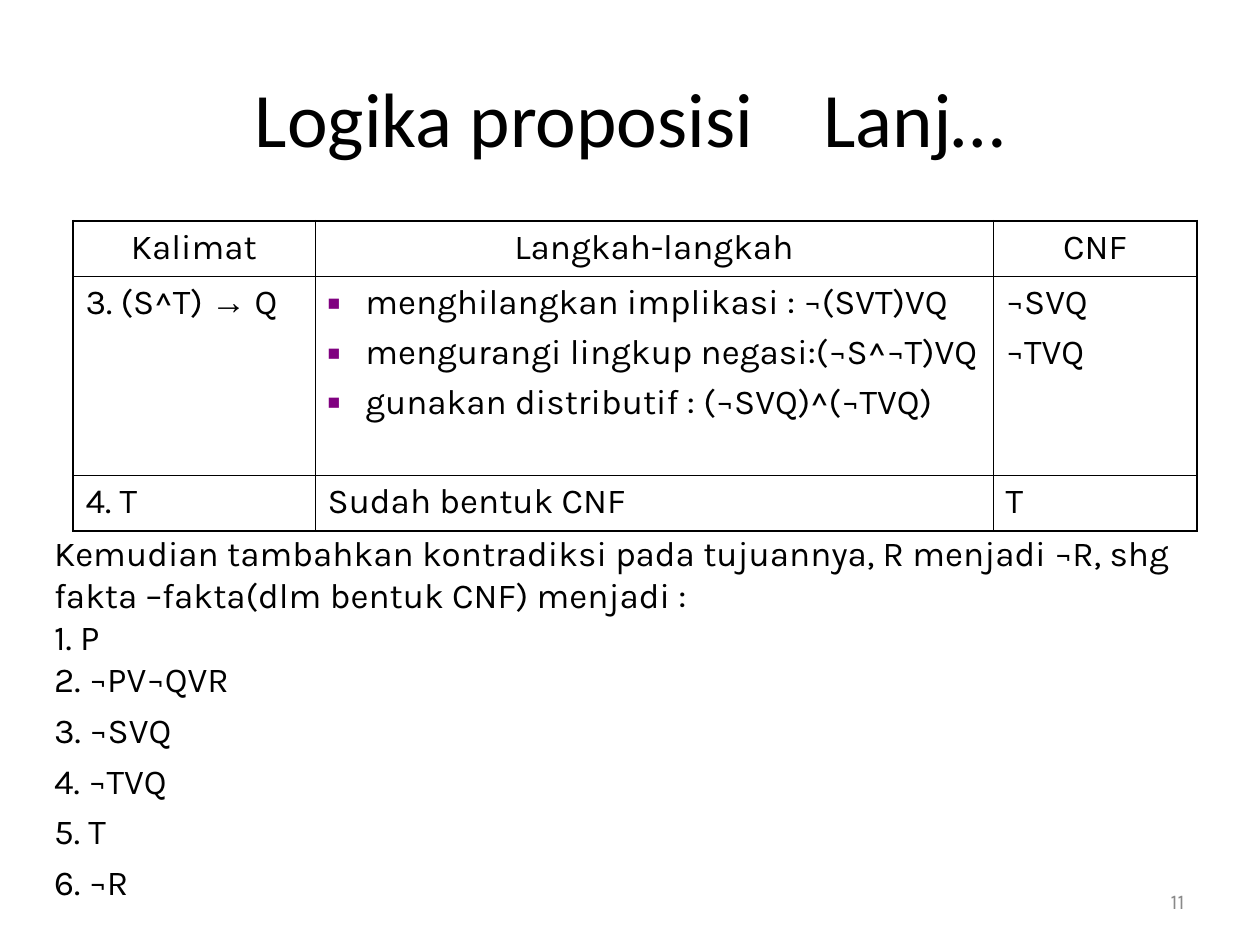
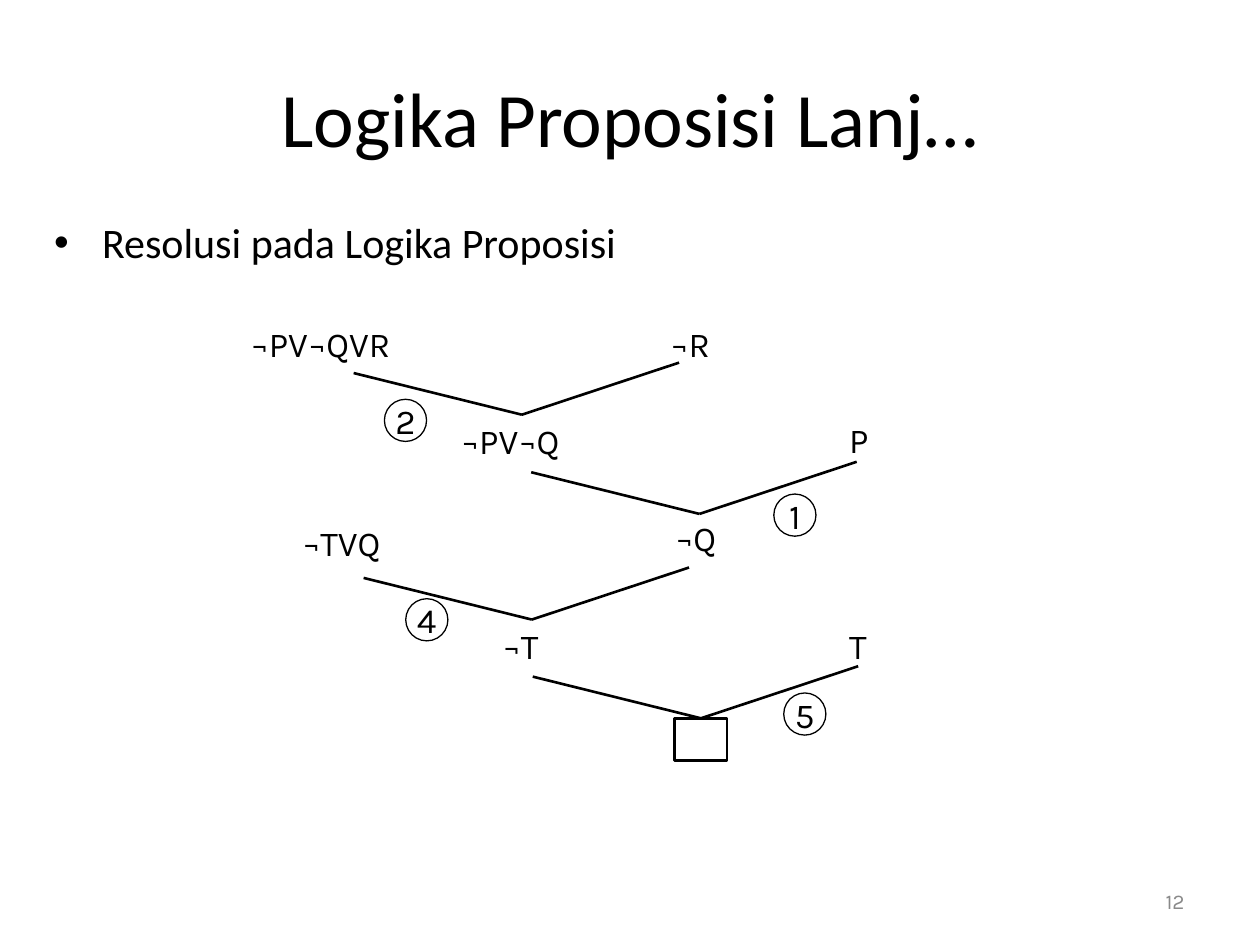
"""Builds two slides on resolution in propositional logic."""
from dataclasses import dataclass

from lxml.etree import SubElement
from pptx import Presentation
from pptx.dml.color import RGBColor
from pptx.enum.shapes import MSO_CONNECTOR, MSO_SHAPE
from pptx.enum.text import MSO_ANCHOR, PP_ALIGN
from pptx.oxml.ns import qn
from pptx.util import Cm, Pt


@dataclass(frozen=True)
class Theme:
    """Colours, fonts, type sizes and line widths of the slides."""

    ink: RGBColor = RGBColor(0x00, 0x00, 0x00)
    muted: RGBColor = RGBColor(0x89, 0x89, 0x89)
    accent: RGBColor = RGBColor(0x80, 0x00, 0x80)
    heading_font: str = "Calibri"
    body_font: str = "Karla"
    symbol_font: str = "Arial"
    title_size: int = 44
    bullet_size: int = 24
    body_size: int = 20
    number_size: int = 12
    title_gap: int = 30
    paragraph_gap: int = 5
    table_border: float = 1.08
    table_rule: float = 0.45
    branch_line: float = 1.5
    circle_line: float = 0.75


class Deck:
    """Holds the theme, the presentation and the slide being filled."""

    def __init__(self, theme):
        """Start an empty presentation of 4:3 slides."""
        self.theme = theme
        self.slide = None
        self.presentation = Presentation()
        self.presentation.slide_width = Cm(25.4)
        self.presentation.slide_height = Cm(19.05)

    def add_slide(self, title_parts, number):
        """Add a slide with its title and page number."""
        theme = self.theme
        self.slide = self.presentation.slides.add_slide(self.presentation.slide_layouts[6])
        title = self.text_box(1.27, 0.76, 22.86, 3.18, MSO_ANCHOR.MIDDLE).paragraphs[0]
        title.alignment = PP_ALIGN.CENTER
        style = {"size": theme.title_size, "font": theme.heading_font}
        for index, part in enumerate(title_parts):
            if index:
                gap = self.run(title, " ", **style)
                gap.font._element.set("spc", str(theme.title_gap * 100))
            self.run(title, part, **style)
        footer = self.text_box(18.21, 17.65, 5.92, 1.02, MSO_ANCHOR.MIDDLE).paragraphs[0]
        footer.alignment = PP_ALIGN.RIGHT
        self.run(footer, str(number), size=theme.number_size, color=theme.muted)

    def run(self, paragraph, text, size=None, font=None, color=None):
        """Add one styled run to a paragraph."""
        run = paragraph.add_run()
        run.text = text
        run.font.size = Pt(size or self.theme.body_size)
        run.font.name = font or self.theme.body_font
        run.font.color.rgb = color or self.theme.ink
        return run

    def bullet(self, paragraph, mark, indent, color, percent=100):
        """Give a paragraph a hanging bullet."""
        properties = paragraph._p.get_or_add_pPr()
        properties.set("marL", str(Cm(indent)))
        properties.set("indent", str(-Cm(indent)))
        bullet_color = SubElement(properties, qn("a:buClr"))
        SubElement(bullet_color, qn("a:srgbClr"), val=str(color))
        SubElement(properties, qn("a:buSzPct"), val=str(percent * 1000))
        SubElement(properties, qn("a:buFont"), typeface=self.theme.symbol_font)
        SubElement(properties, qn("a:buChar"), char=mark)

    def text_box(self, left, top, width, height, anchor=MSO_ANCHOR.TOP, wrap=True):
        """Add an empty text box and return its text frame."""
        box = self.slide.shapes.add_textbox(Cm(left), Cm(top), Cm(width), Cm(height))
        box.text_frame.word_wrap = wrap
        box.text_frame.vertical_anchor = anchor
        return box.text_frame

    def lines(self, frame, texts, spaced_from=1):
        """Write one paragraph per text, with gaps from a given paragraph on."""
        for index, text in enumerate(texts):
            paragraph = frame.add_paragraph() if index else frame.paragraphs[0]
            if index >= spaced_from:
                paragraph.space_before = Pt(self.theme.paragraph_gap)
            parts = [text] if isinstance(text, str) else text
            for part in parts:
                self.run(paragraph, part, font=self.theme.symbol_font if part == "→" else None)
        return frame.paragraphs

    def table(self, left, top, column_widths, row_heights, rows):
        """Add a ruled table; each cell is a list of paragraphs."""
        theme = self.theme
        frame = self.slide.shapes.add_table(
            len(rows), len(column_widths), Cm(left), Cm(top),
            Cm(sum(column_widths)), Cm(sum(row_heights)))
        table = frame.table
        table.first_row = table.horz_banding = False
        for column, width in zip(table.columns, column_widths):
            column.width = Cm(width)
        last_row, last_column = len(rows) - 1, len(column_widths) - 1
        for row_index, texts in enumerate(rows):
            table.rows[row_index].height = Cm(row_heights[row_index])
            for column_index, cell_texts in enumerate(texts):
                cell = table.cell(row_index, column_index)
                self.lines(cell.text_frame, cell_texts)
                outer_edges = {
                    "L": column_index == 0, "R": column_index == last_column,
                    "T": row_index == 0, "B": row_index == last_row}
                for side, outer in outer_edges.items():
                    self.border(cell, side, theme.table_border if outer else theme.table_rule)
                cell.fill.background()
        return table

    def border(self, cell, side, width):
        """Draw one border of a table cell."""
        line = SubElement(cell._tc.get_or_add_tcPr(), qn(f"a:ln{side}"), w=str(Pt(width)))
        fill = SubElement(line, qn("a:solidFill"))
        SubElement(fill, qn("a:srgbClr"), val=str(self.theme.ink))

    def outline(self, kind, left, top, width, height, line_width):
        """Add an unfilled shape with a dark outline."""
        shape = self.slide.shapes.add_shape(kind, Cm(left), Cm(top), Cm(width), Cm(height))
        shape.shadow.inherit = False
        shape.fill.background()
        shape.line.color.rgb = self.theme.ink
        shape.line.width = Pt(line_width)
        return shape

    def circle(self, text, left, top):
        """Add a numbered circle."""
        shape = self.outline(MSO_SHAPE.OVAL, left, top, 0.85, 0.85, self.theme.circle_line)
        frame = shape.text_frame
        frame.word_wrap = False
        frame.vertical_anchor = MSO_ANCHOR.MIDDLE
        frame.paragraphs[0].alignment = PP_ALIGN.CENTER
        self.run(frame.paragraphs[0], text)

    def line(self, start, end, target=None):
        """Add a straight line, joined to the top of a target if given."""
        connector = self.slide.shapes.add_connector(
            MSO_CONNECTOR.STRAIGHT, *(Cm(value) for value in (*start, *end)))
        connector.line.color.rgb = self.theme.ink
        connector.line.width = Pt(self.theme.branch_line)
        SubElement(connector._element.spPr, qn("a:effectLst"))
        if target is not None:
            connector.end_connect(target, 0)

    def resolve(self, x, y, target=None):
        """Draw the two branches that meet at a resolvent."""
        for offset_x, offset_y in ((-3.39, -0.84), (3.17, -1.05)):
            self.line((x + offset_x, y + offset_y), (x, y), target)


def add_conversion_slide(deck):
    """Show the conversion to CNF and the resulting facts."""
    deck.add_slide(["Logika proposisi", "Lanj…"], 11)
    steps = [
        "menghilangkan implikasi : ¬(SVT)VQ",
        "mengurangi lingkup negasi:(¬S^¬T)VQ",
        "gunakan distributif : (¬SVQ)^(¬TVQ)",
    ]
    rows = [
        [["Kalimat"], ["Langkah-langkah"], ["CNF"]],
        [[("3. (S^T) ", "→", " Q")], steps, ["¬SVQ", "¬TVQ"]],
        [["4. T"], ["Sudah bentuk CNF"], ["T"]],
    ]
    table = deck.table(1.47, 4.45, [4.88, 13.67, 4.11], [1.12, 4.01, 1.12], rows)
    for cell in table.rows[0].cells:
        cell.text_frame.paragraphs[0].alignment = PP_ALIGN.CENTER
    for paragraph in table.cell(1, 1).text_frame.paragraphs:
        deck.bullet(paragraph, "■", 0.76, deck.theme.accent, 60)

    introduction = ("Kemudian tambahkan kontradiksi pada tujuannya, R menjadi ¬R, "
                    "shg fakta –fakta(dlm bentuk CNF) menjadi :")
    facts = ["P", "¬PV¬QVR", "¬SVQ", "¬TVQ", "T", "¬R"]
    numbered = [f"{number}. {fact}" for number, fact in enumerate(facts, 1)]
    deck.lines(deck.text_box(0.84, 10.59, 24.18, 7.75), [introduction, *numbered], spaced_from=3)


def add_resolution_slide(deck):
    """Show the resolution tree that ends in the empty clause."""
    deck.add_slide(["Logika Proposisi Lanj…"], 12)
    theme = deck.theme
    topic = deck.text_box(0.84, 4.24, 24.03, 1.27).paragraphs[0]
    deck.bullet(topic, "•", 0.97, theme.ink)
    deck.run(topic, "Resolusi pada Logika Proposisi", size=theme.bullet_size, font=theme.heading_font)

    clauses = [
        ("¬PV¬QVR", 4.8, 6.38, 3.58), ("¬R", 13.26, 6.38, 1.35),
        ("¬PV¬Q", 9.04, 8.33, 2.72), ("P", 16.87, 8.31, 0.94),
        ("¬TVQ", 5.84, 10.39, 2.29), ("¬Q", 13.36, 10.29, 1.45),
        ("¬T", 9.88, 12.47, 1.3), ("T", 16.87, 12.47, 0.89),
    ]
    for text, left, top, width in clauses:
        deck.lines(deck.text_box(left, top, width, 1.12, wrap=False), [text])

    empty_clause = deck.outline(MSO_SHAPE.RECTANGLE, 13.6, 14.48, 1.06, 0.85, theme.branch_line)
    for x, y in ((10.52, 8.36), (14.1, 10.36), (10.72, 12.49)):
        deck.resolve(x, y)
    deck.resolve(14.13, 14.48, empty_clause)

    fact_numbers = [("2", 7.75, 8.05), ("1", 15.6, 9.96), ("4", 8.18, 12.07), ("5", 15.8, 13.97)]
    for text, left, top in fact_numbers:
        deck.circle(text, left, top)


def main():
    """Build and save the presentation."""
    deck = Deck(Theme())
    add_conversion_slide(deck)
    add_resolution_slide(deck)
    deck.presentation.save("out.pptx")


if __name__ == "__main__":
    main()
